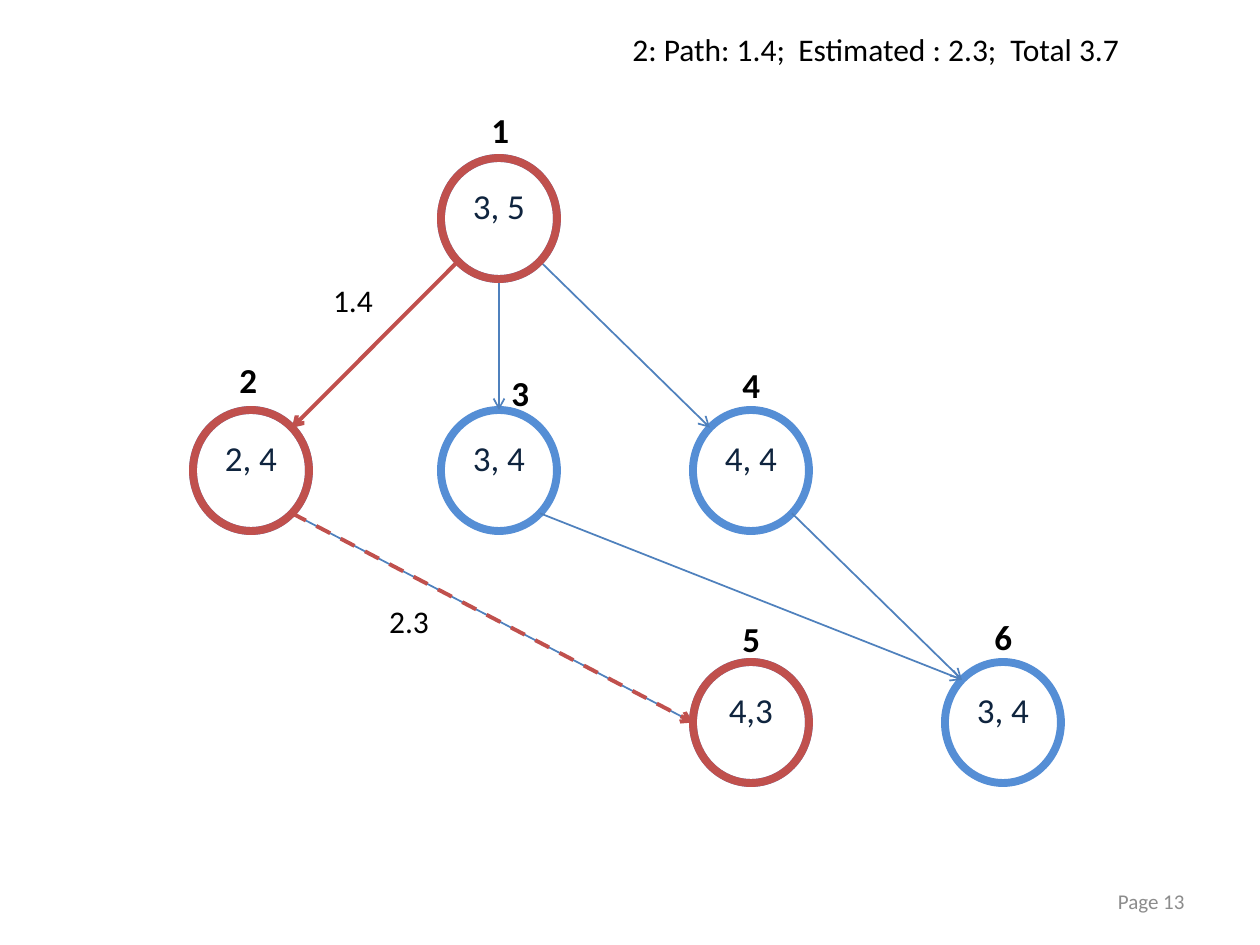
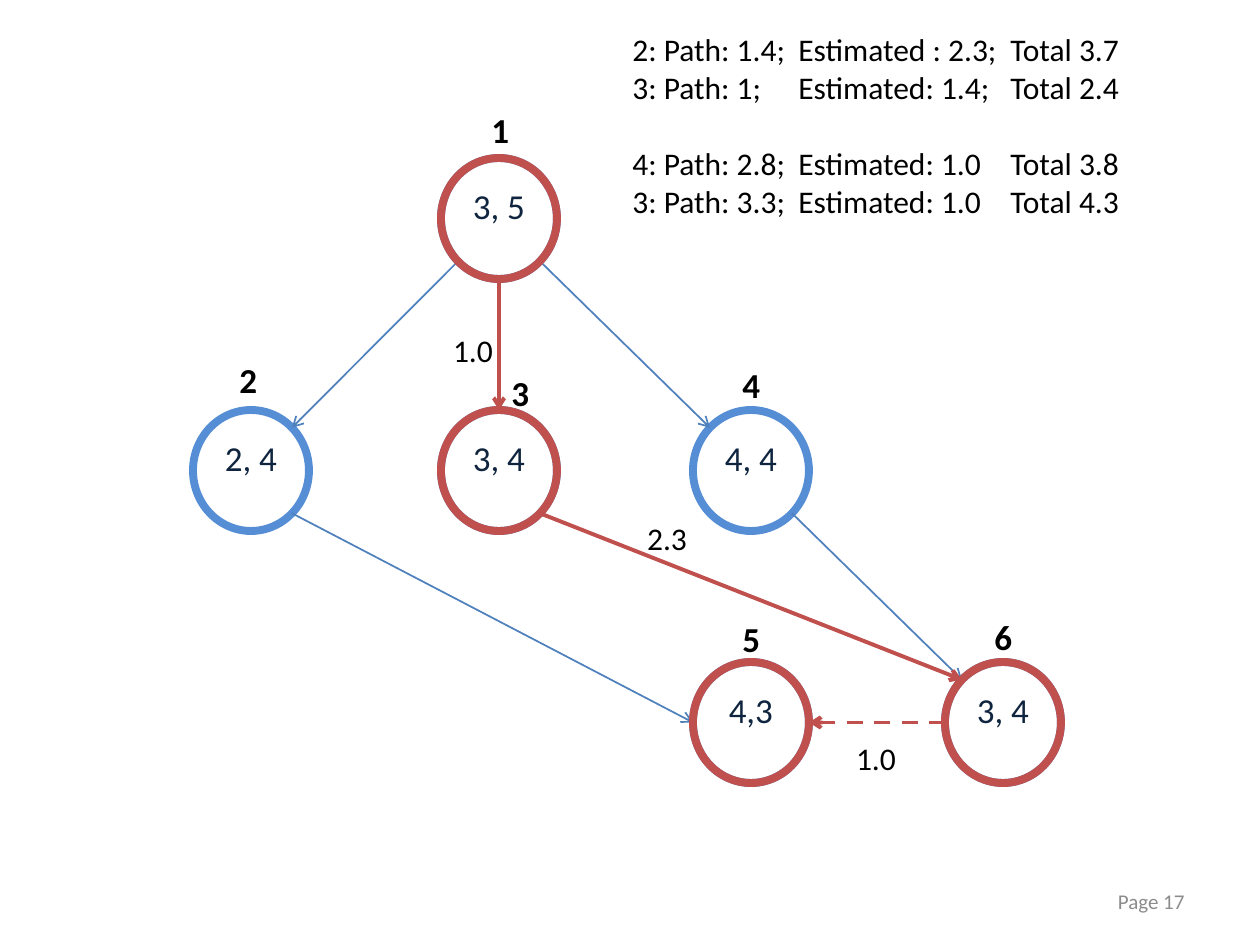
from math import sqrt

from lxml import etree
from pptx import Presentation
from pptx.dml.color import RGBColor
from pptx.enum.dml import MSO_LINE
from pptx.enum.shapes import MSO_CONNECTOR, MSO_SHAPE
from pptx.enum.text import MSO_ANCHOR, MSO_AUTO_SIZE, PP_ALIGN
from pptx.oxml.ns import qn
from pptx.util import Emu, Pt

ELLIPSE = MSO_SHAPE.OVAL
STRAIGHT = MSO_CONNECTOR.STRAIGHT
DASH = MSO_LINE.DASH
LEFT, CENTER, RIGHT = PP_ALIGN.LEFT, PP_ALIGN.CENTER, PP_ALIGN.RIGHT
TOP, MIDDLE = MSO_ANCHOR.TOP, MSO_ANCHOR.MIDDLE
GROW, FIXED = MSO_AUTO_SIZE.SHAPE_TO_FIT_TEXT, MSO_AUTO_SIZE.NONE

BLACK = RGBColor(0x00, 0x00, 0x00)
WHITE = RGBColor(0xFF, 0xFF, 0xFF)
NAVY = RGBColor(0x0F, 0x24, 0x3E)
GRAY = RGBColor(0x8C, 0x8C, 0x8C)
RING_BLUE = RGBColor(0x55, 0x8E, 0xD5)
EDGE_BLUE = RGBColor(0x4F, 0x81, 0xBD)
RED = RGBColor(0xC0, 0x50, 0x4D)

SCALE = 914400 / 126
NODE_W, NODE_H = 116, 121
COLUMNS = (193, 441, 693, 945)
ROWS = [158 + 252 * i for i in range(3)]

BODY = {"name": "Calibri", "size": Pt(18)}
STATE = {"name": "Calibri", "size": Pt(20)}
NUMBER = {"name": "Calibri", "size": Pt(20), "bold": True}
FOOTER = {"name": "Calibri", "size": Pt(12)}

NODES = {
    1: (COLUMNS[1], ROWS[0], "3, 5"),
    2: (COLUMNS[0], ROWS[1], "2, 4"),
    3: (COLUMNS[1], ROWS[1], "3, 4"),
    4: (COLUMNS[2], ROWS[1], "4, 4"),
    5: (COLUMNS[2], ROWS[2], "4,3"),
    6: (COLUMNS[3], ROWS[2], "3, 4"),
}
NUMBER_SPOTS = {1: (479, 102), 2: (227, 352), 3: (499, 365),
                4: (730, 357), 5: (730, 611), 6: (982, 609)}

DIAGONAL = 1 / sqrt(2)
SITES = {
    "top": (0, -1), "bottom": (0, 1), "left": (-1, 0), "right": (1, 0),
    "top left": (-DIAGONAL, -DIAGONAL), "top right": (DIAGONAL, -DIAGONAL),
    "bottom left": (-DIAGONAL, DIAGONAL), "bottom right": (DIAGONAL, DIAGONAL),
}
EDGES = {
    (1, 2): ("bottom left", "top right"),
    (1, 3): ("bottom", "top"),
    (1, 4): ("bottom right", "top left"),
    (2, 5): ("bottom right", "left"),
    (3, 6): ("bottom right", "top left"),
    (4, 6): ("bottom right", "top left"),
}
ESTIMATE_SITES = {**EDGES, (6, 5): ("left", "right")}

NOTE_TABS = (166, 378)
FIRST_NOTE = "2: Path: 1.4;\tEstimated : 2.3;\tTotal 3.7"
STEPS = [
    {
        "page": "Page 13",
        "path": [(1, 2)],
        "estimate": (2, 5),
        "costs": [("1.4", 311, 275), ("2.3", 367, 596)],
        "notes": [[FIRST_NOTE]],
    },
    {
        "page": "Page 17",
        "path": [(1, 3), (3, 6)],
        "estimate": (6, 5),
        "costs": [("1.0", 431, 325), ("2.3", 625, 513), ("1.0", 834, 733)],
        "notes": [
            [FIRST_NOTE, "3: Path: 1;\tEstimated: 1.4;\tTotal 2.4"],
            ["4: Path: 2.8;\tEstimated: 1.0\tTotal 3.8",
             "3: Path: 3.3;\tEstimated: 1.0\tTotal 4.3"],
        ],
    },
]


def px(*lengths):
    """Turn px lengths into EMU."""
    return [Emu(round(n * SCALE)) for n in lengths]


def apply(target, values):
    """Set each named attribute on the target."""
    for name, value in values.items():
        setattr(target, name, value)


def write(p, text, font, color, align=LEFT):
    """Put one formatted run in a paragraph."""
    p.alignment = align
    r = p.add_run()
    r.text = text
    apply(r.font, font)
    r.font.color.rgb = color


def add_box(s, box, anchor=TOP, auto_size=GROW):
    """Add a wrapping text box and return its text frame."""
    tf = s.shapes.add_textbox(*px(*box)).text_frame
    apply(tf, {"word_wrap": True, "vertical_anchor": anchor, "auto_size": auto_size})
    return tf


def add_label(s, text, box, font, color=BLACK, align=LEFT, **frame):
    """Add a one-line text box."""
    write(add_box(s, box, **frame).paragraphs[0], text, font, color, align)


def add_ring(s, node, color):
    """Add an unfilled ring around a node."""
    x, y, _ = NODES[node]
    sp = s.shapes.add_shape(ELLIPSE, *px(x, y, NODE_W, NODE_H))
    sp.shadow.inherit = False
    sp.fill.background()
    sp.line.color.rgb = color
    sp.line.width = Pt(4.5)
    return sp


def add_node(s, node):
    """Add a white node showing its state a little above the middle."""
    sp = add_ring(s, node, RING_BLUE)
    sp.fill.solid()
    sp.fill.fore_color.rgb = WHITE
    tf = sp.text_frame
    apply(tf, {"vertical_anchor": MIDDLE, "word_wrap": True, "margin_bottom": px(32)[0]})
    write(tf.paragraphs[0], NODES[node][2], STATE, NAVY, CENTER)


def site_point(node, site):
    """Return the px point of a named site on a node's outline."""
    x, y, _ = NODES[node]
    dx, dy = SITES[site]
    return x + NODE_W / 2 * (1 + dx), y + NODE_H / 2 * (1 + dy)


def add_edge(s, edge, color=EDGE_BLUE, width=1, dash=None):
    """Add an arrow between two nodes."""
    ends = [site_point(n, site) for n, site in zip(edge, ESTIMATE_SITES[edge])]
    c = s.shapes.add_connector(STRAIGHT, *px(*ends[0], *ends[1]))
    c.line.color.rgb = color
    apply(c.line, {"width": Pt(width), "dash_style": dash})
    spPr = c._element.spPr
    etree.SubElement(spPr.find(qn("a:ln")), qn("a:tailEnd"), type="arrow")
    etree.SubElement(spPr, qn("a:effectLst"))


def add_notes(s, blocks):
    """Add the tabbed cost lines, with one line of space between blocks."""
    lines = [(text, b and not i) for b, block in enumerate(blocks)
             for i, text in enumerate(block)]
    tf = add_box(s, (620, 24, 640, 13 + 38 * (len(lines) + len(blocks) - 1)))
    for i, (text, opens_block) in enumerate(lines):
        p = tf.add_paragraph() if i else tf.paragraphs[0]
        tabs = etree.SubElement(p._p.get_or_add_pPr(), qn("a:tabLst"))
        for stop in px(*NOTE_TABS):
            etree.SubElement(tabs, qn("a:tab"), pos=str(stop), algn="l")
        if opens_block:
            p.space_before = Pt(22)
        write(p, text, BODY, BLACK)


def add_step(prs, step):
    """Add a slide with the graph and one step of the search."""
    s = prs.slides.add_slide(prs.slide_layouts[6])
    add_label(s, step["page"], (903, 876, 294, 50), FOOTER, GRAY, RIGHT,
              anchor=MIDDLE, auto_size=FIXED)
    for node in NODES:
        add_node(s, node)
    for edge in EDGES:
        add_edge(s, edge)
    visited = {n for edge in [*step["path"], step["estimate"]] for n in edge}
    for node in sorted(visited):
        add_ring(s, node, RED)
    for edge in step["path"]:
        add_edge(s, edge, RED, 2.25)
    add_edge(s, step["estimate"], RED, 2.25, DASH)
    add_notes(s, step["notes"])
    for text, x, y in step["costs"]:
        add_label(s, text, (x, y, 84, 50), BODY, align=CENTER)
    for node, spot in NUMBER_SPOTS.items():
        add_label(s, str(node), (*spot, 48, 55), NUMBER)


def main():
    """Build both search steps and save them."""
    prs = Presentation()
    prs.slide_width, prs.slide_height = px(1260, 945)
    for step in STEPS:
        add_step(prs, step)
    prs.save("out.pptx")


if __name__ == "__main__":
    main()
